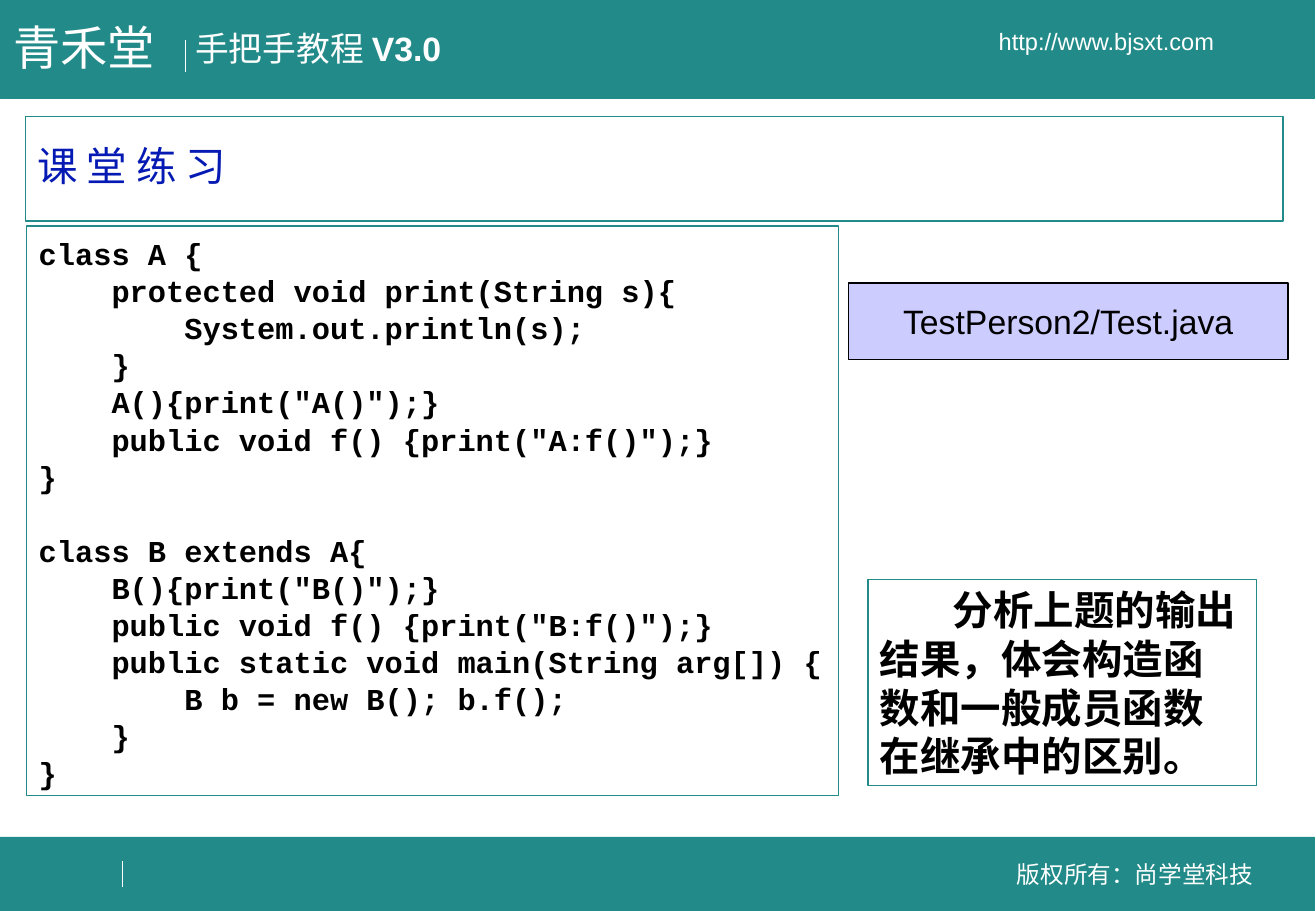
from dataclasses import dataclass
from typing import Optional

import pptx
import pptx.dml.color
import pptx.enum.shapes
import pptx.enum.text
import pptx.oxml
import pptx.oxml.ns
import pptx.util
from pptx.dml.color import RGBColor
from pptx.util import Inches

ALIGN = pptx.enum.text.PP_ALIGN
ANCHOR = pptx.enum.text.MSO_ANCHOR
CJK_FONT = "Noto Sans CJK SC"

TEAL = RGBColor(0x22, 0x8A, 0x88)
WHITE = RGBColor(0xFF, 0xFF, 0xFF)
BLACK = RGBColor(0x00, 0x00, 0x00)
BLUE = RGBColor(0x05, 0x1A, 0xB3)
LAVENDER = RGBColor(0xCC, 0xCC, 0xFF)

CODE = """class A {
    protected void print(String s){
        System.out.println(s);
    }
    A(){print("A()");}
    public void f() {print("A:f()");}
}

class B extends A{
    B(){print("B()");}
    public void f() {print("B:f()");}
    public static void main(String arg[]) {
        B b = new B(); b.f();
    }
}"""


@dataclass
class Run:
    text: str
    size: float
    color: RGBColor = WHITE
    font: str = "Arial"
    bold: bool = False


@dataclass
class Box:
    left: float
    top: float
    width: float
    height: float
    runs: tuple[Run, ...] = ()
    fill: Optional[RGBColor] = None
    line: Optional[RGBColor] = None
    line_width: float = 0.75
    align: ALIGN = ALIGN.LEFT
    anchor: ANCHOR = ANCHOR.TOP
    wrap: bool = True
    spacing: float = 1.0
    indent: float = 0
    margin_right: float = 0.1


@dataclass
class Divider:
    x: float
    top: float
    bottom: float


BARS = (
    Box(0, 6.89, 10.83, 0.61, fill=TEAL, line=TEAL, line_width=0.25),
    Box(0, 0, 10.83, 0.81, fill=TEAL, line=TEAL, line_width=0.25),
)
DIVIDERS = (Divider(1.53, 0.33, 0.59), Divider(1.01, 7.09, 7.3))
LABELS = (
    Box(1.51, 0.18, 2.29, 0.44,
        (Run("手把手教程 ", 20), Run("V3.0", 20, bold=True)), wrap=False),
    Box(8.09, 7.03, 2.52, 0.34, (Run("版权所有：尚学堂科技", 14),),
        align=ALIGN.CENTER, anchor=ANCHOR.MIDDLE),
    Box(7.4, 0.17, 3.43, 0.34, (Run("http://www.bjsxt.com", 14),),
        align=ALIGN.CENTER, anchor=ANCHOR.MIDDLE),
    Box(0.01, 0.1, 1.48, 0.57, (Run("青禾堂", 28),)),
)
PANELS = (
    Box(0.21, 0.96, 10.36, 0.86, (Run("课 堂 练 习", 24, BLUE, CJK_FONT),),
        line=TEAL, anchor=ANCHOR.MIDDLE, spacing=0.9),
    Box(7.15, 4.77, 3.2, 1.7,
        (Run("分析上题的输出结果，体会构造函数和一般成员函数在继承中的区别。",
             24, BLACK, CJK_FONT, True),),
        line=TEAL, indent=0.6, margin_right=0.14),
    Box(6.99, 2.33, 3.62, 0.63, (Run("TestPerson2/Test.java", 20, BLACK),),
        fill=LAVENDER, line=BLACK, align=ALIGN.CENTER, anchor=ANCHOR.MIDDLE, wrap=False),
)
CODE_PANEL = Box(0.22, 1.86, 6.69, 4.69, fill=WHITE, line=TEAL)


def add_run(p, run: Run) -> None:
    r = p.add_run()
    r.text = run.text
    r.font.size = pptx.util.Pt(run.size)
    r.font.bold = run.bold
    r.font.color.rgb = run.color
    r.font.name = run.font
    ea = pptx.oxml.parse_xml(
        f'<a:ea {pptx.oxml.ns.nsdecls("a")} typeface="{CJK_FONT}"/>')
    r.font._element.append(ea)


def add_box(s, box: Box):
    place = [Inches(v) for v in (box.left, box.top, box.width, box.height)]
    if box.line is None:
        sp = s.shapes.add_textbox(*place)
    else:
        sp = s.shapes.add_shape(pptx.enum.shapes.MSO_SHAPE.RECTANGLE, *place)
        sp.shadow.inherit = False
        sp.line.color.rgb = box.line
        sp.line.width = pptx.util.Pt(box.line_width)
        if box.fill is None:
            sp.fill.background()
        else:
            sp.fill.solid()
            sp.fill.fore_color.rgb = box.fill
    tf = sp.text_frame
    tf.word_wrap = box.wrap
    tf.vertical_anchor = box.anchor
    tf.margin_right = Inches(box.margin_right)
    p = tf.paragraphs[0]
    p.alignment = box.align
    p.line_spacing = box.spacing
    if box.indent:
        p._p.get_or_add_pPr().set("indent", str(Inches(box.indent)))
    for run in box.runs:
        add_run(p, run)
    return sp


def add_divider(s, divider: Divider) -> None:
    x = Inches(divider.x)
    line = s.shapes.add_connector(pptx.enum.shapes.MSO_CONNECTOR.STRAIGHT,
                                  x, Inches(divider.top), x, Inches(divider.bottom))
    line.line.color.rgb = WHITE
    line.line.width = pptx.util.Pt(0.75)
    line._element.spPr.append(pptx.oxml.parse_xml(
        f'<a:effectLst {pptx.oxml.ns.nsdecls("a")}/>'))


def add_code(s, box: Box, code: str) -> None:
    tf = add_box(s, box).text_frame
    tf.margin_top = Inches(0.07)
    pitch = pptx.util.Pt(22)
    for b, block in enumerate(code.split("\n\n")):
        for i, text in enumerate(block.split("\n")):
            p = tf.add_paragraph() if b or i else tf.paragraphs[0]
            p.alignment = ALIGN.LEFT
            p.line_spacing = pitch
            if b and not i:
                p.space_before = pitch
            add_run(p, Run(text, 18, BLACK, "Courier New", True))


def main() -> None:
    prs = pptx.Presentation()
    prs.slide_width, prs.slide_height = Inches(10.84), Inches(7.5)
    s = prs.slides.add_slide(prs.slide_layouts[6])
    for bar in BARS:
        add_box(s, bar)
    for divider in DIVIDERS:
        add_divider(s, divider)
    for box in LABELS + PANELS:
        add_box(s, box)
    add_code(s, CODE_PANEL, CODE)
    prs.save("out.pptx")


if __name__ == "__main__":
    main()
